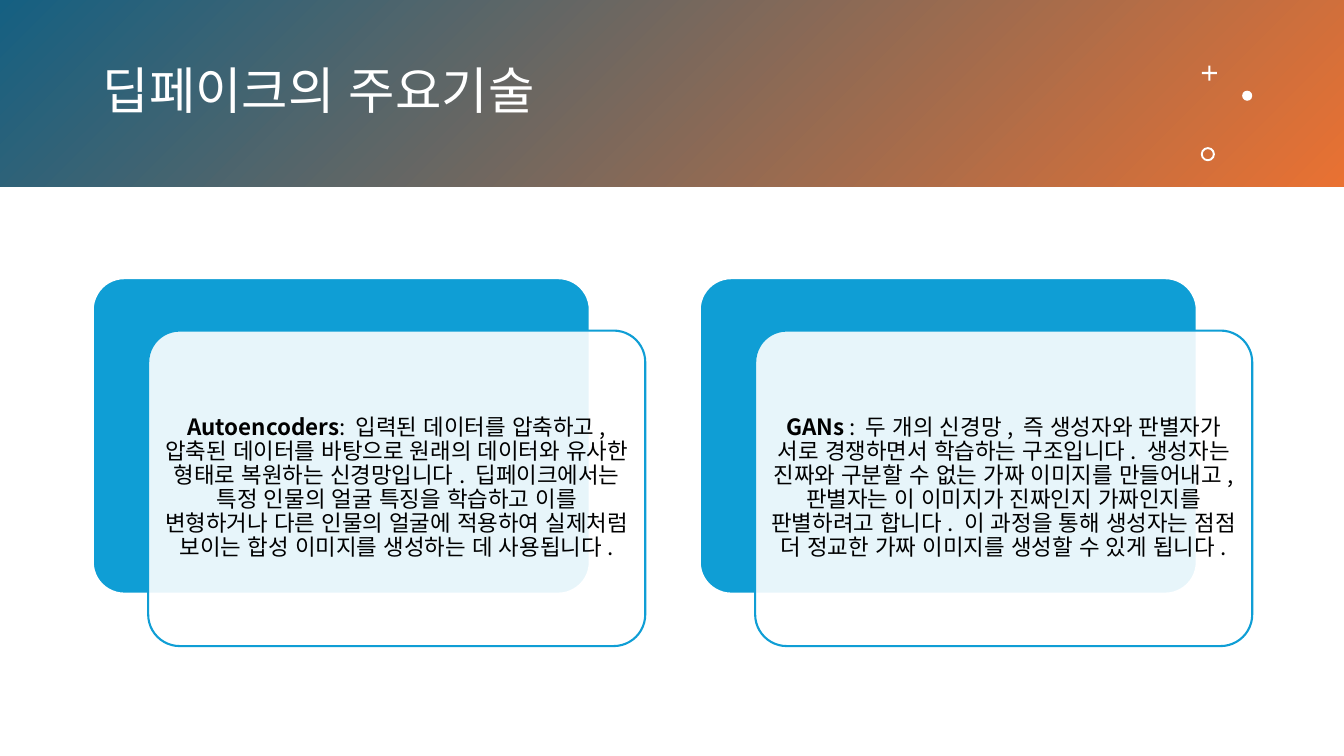
from dataclasses import dataclass

from lxml import etree
from pptx import Presentation
from pptx.dml.color import RGBColor
from pptx.enum.lang import MSO_LANGUAGE_ID
from pptx.enum.shapes import MSO_SHAPE
from pptx.enum.text import MSO_ANCHOR, PP_ALIGN
from pptx.oxml.ns import qn
from pptx.util import Inches, Pt

RECTANGLE = MSO_SHAPE.RECTANGLE
ROUNDED = MSO_SHAPE.ROUNDED_RECTANGLE
CROSS, OVAL, DONUT = MSO_SHAPE.CROSS, MSO_SHAPE.OVAL, MSO_SHAPE.DONUT
LEFT, CENTER = PP_ALIGN.LEFT, PP_ALIGN.CENTER
MIDDLE = MSO_ANCHOR.MIDDLE
KOREAN = MSO_LANGUAGE_ID.KOREAN

TITLE = "딥페이크의 주요기술"
CARDS = [
    ("Autoencoders",
     ": 입력된 데이터를 압축하고, 압축된 데이터를 바탕으로 원래의 데이터와 유사한 "
     "형태로 복원하는 신경망입니다. 딥페이크에서는 특정 인물의 얼굴 특징을 학습하고 "
     "이를 변형하거나 다른 인물의 얼굴에 적용하여 실제처럼 보이는 합성 이미지를 "
     "생성하는 데 사용됩니다."),
    ("GANs",
     " : 두 개의 신경망, 즉 생성자와 판별자가 서로 경쟁하면서 학습하는 구조입니다. "
     "생성자는 진짜와 구분할 수 없는 가짜 이미지를 만들어내고, 판별자는 이 이미지가 "
     "진짜인지 가짜인지를 판별하려고 합니다. 이 과정을 통해 생성자는 점점 더 정교한 "
     "가짜 이미지를 생성할 수 있게 됩니다."),
]
ORNAMENTS = [
    (CROSS, (11.92, 0.65, 0.15, 0.15), 0.43),
    (OVAL, (12.32, 0.9, 0.1, 0.1), None),
    (DONUT, (11.91, 1.46, 0.14, 0.14), 0.14),
]

SLIDE_SIZE = (13.33, 7.5)
BAND_BOX = (0, 0, SLIDE_SIZE[0], 1.85)
TITLE_BOX = (0.92, 0.33, 10.75, 1.19)
CARD_LEFT, CARD_TOP, CARD_PITCH = 0.92, 2.76, 6.02
CARD_SIZE = (4.93, 3.13)
PANEL_SHIFT = (0.55, 0.52)
PANEL_INSET = 0.07


@dataclass(frozen=True)
class Theme:
    font: str = "Noto Sans CJK KR"
    white: RGBColor = RGBColor.from_string("FFFFFF")
    black: RGBColor = RGBColor.from_string("000000")
    blue: RGBColor = RGBColor.from_string("0F9ED5")
    band: tuple = (RGBColor.from_string("156082"), RGBColor.from_string("E97132"))
    title_size: int = 36
    body_size: int = 16
    line_width: float = 1.5
    panel_opacity: int = 90


THEME = Theme()


def set_attributes(target, values):
    for name, value in values.items():
        setattr(target, name, value)


def place(shape, box):
    names = ("left", "top", "width", "height")
    set_attributes(shape, dict(zip(names, map(Inches, box))))


def add_plain_shape(slide, kind, box, fill=None, line=None, adjustment=None):
    shape = slide.shapes.add_shape(kind, *map(Inches, box))
    shape.shadow.inherit = False
    if adjustment is not None:
        shape.adjustments[0] = adjustment
    if fill is not None:
        shape.fill.solid()
        shape.fill.fore_color.rgb = fill
    if line is None:
        shape.line.fill.background()
    else:
        shape.line.color.rgb = line
        shape.line.width = Pt(THEME.line_width)
    return shape


def set_opacity(shape, percent):
    color = shape.fill.fore_color
    node = shape.element.spPr.find(qn("a:solidFill")).find(qn("a:srgbClr"))
    if color.rgb is not None:
        etree.SubElement(node, qn("a:alpha")).set("val", str(percent * 1000))


def write_paragraph(shape, runs, size, color, alignment):
    frame = shape.text_frame
    set_attributes(frame, {"word_wrap": True, "vertical_anchor": MIDDLE})
    paragraph = frame.paragraphs[0]
    set_attributes(paragraph, {"alignment": alignment, "line_spacing": 0.9})
    for text, bold in runs:
        run = paragraph.add_run()
        run.text = text
        run.font.color.rgb = color
        set_attributes(run.font, {"name": THEME.font, "size": Pt(size),
                                  "bold": bold, "language_id": KOREAN})
        latin = run.font._element.find(qn("a:latin"))
        east_asian = etree.Element(qn("a:ea"), typeface=THEME.font)
        latin.addnext(east_asian)


def add_header(slide):
    title = slide.shapes.title
    place(title, TITLE_BOX)
    write_paragraph(title, [(TITLE, False)], THEME.title_size, THEME.white, LEFT)
    band = add_plain_shape(slide, RECTANGLE, BAND_BOX)
    band.fill.gradient()
    band.fill.gradient_angle = 315
    for stop, color, position in zip(band.fill.gradient_stops, THEME.band, (0, 1)):
        stop.color.rgb = color
        stop.position = position
    title.element.addprevious(band.element)
    for kind, box, adjustment in ORNAMENTS:
        add_plain_shape(slide, kind, box, THEME.white, adjustment=adjustment)


def add_card(slide, index, name, description):
    left = CARD_LEFT + index * CARD_PITCH
    add_plain_shape(slide, ROUNDED, (left, CARD_TOP, *CARD_SIZE),
                    THEME.blue, THEME.white, 0.1)
    panel_box = (left + PANEL_SHIFT[0], CARD_TOP + PANEL_SHIFT[1], *CARD_SIZE)
    panel = add_plain_shape(slide, ROUNDED, panel_box, THEME.white, THEME.blue, 0.1)
    set_opacity(panel, THEME.panel_opacity)
    margins = ("margin_left", "margin_top", "margin_right", "margin_bottom")
    set_attributes(panel.text_frame, dict.fromkeys(margins, Inches(PANEL_INSET)))
    write_paragraph(panel, [(name, True), (description, False)],
                    THEME.body_size, THEME.black, CENTER)


def main():
    presentation = Presentation()
    presentation.slide_width, presentation.slide_height = map(Inches, SLIDE_SIZE)
    slide = presentation.slides.add_slide(presentation.slide_layouts[5])
    add_header(slide)
    for index, (name, description) in enumerate(CARDS):
        add_card(slide, index, name, description)
    presentation.save("out.pptx")


if __name__ == "__main__":
    main()
